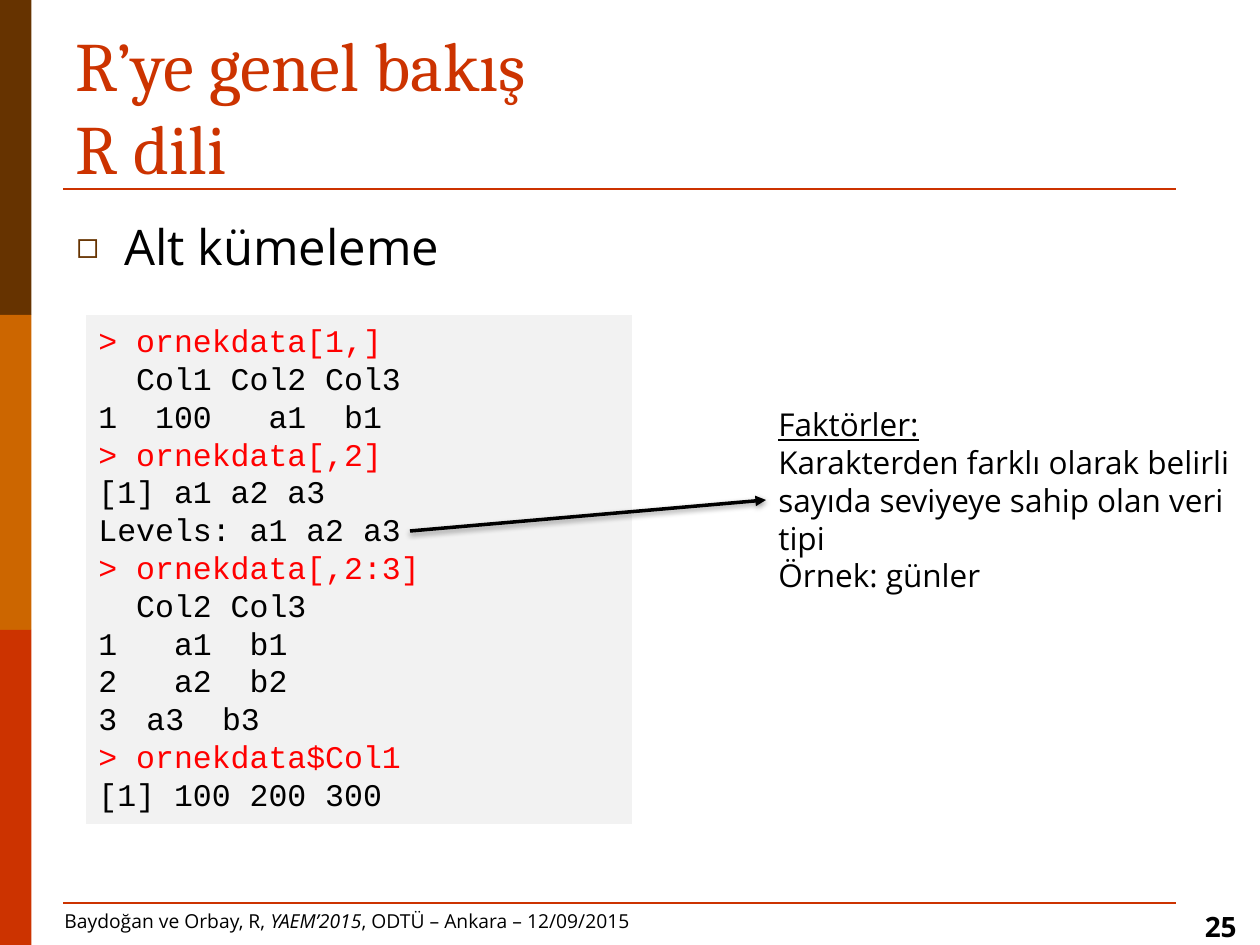
from lxml import etree
from pptx import Presentation
from pptx.dml.color import RGBColor
from pptx.enum.shapes import MSO_CONNECTOR as CONN, MSO_SHAPE as SHAPE
from pptx.enum.text import MSO_ANCHOR as ANCHOR, PP_ALIGN as ALIGN
from pptx.oxml.ns import qn
from pptx.util import Pt

PX = 914400 / 126
COLORS = {
    "brown": "663300", "orange": "CC6600", "rust": "CC3300",
    "black": "000000", "red": "FF0000", "gray": "F2F2F2",
}
SANS, SERIF, MONO = "Open Sans", "Cambria", "Courier New"
CODE = [
    "> ornekdata[1,]",
    "  Col1 Col2 Col3",
    "1  100   a1  b1 ",
    "> ornekdata[,2]",
    "[1] a1 a2 a3",
    "Levels: a1 a2 a3",
    "> ornekdata[,2:3]",
    "  Col2 Col3",
    "1   a1  b1 ",
    "2   a2  b2 ",
    "a3  b3",
    "> ornekdata$Col1",
    "[1] 100 200 300",
]
NUMBERED_ROW = 10


def px(n):
    return round(n * PX)


def rgb(name):
    return RGBColor.from_string(COLORS[name])


def sub(parent, tag, **attrs):
    return etree.SubElement(parent, qn(tag), attrs)


def style(p, size, font=SANS, color="black", bold=False):
    p.font.size, p.font.name, p.font.bold = Pt(size), font, bold
    p.font.color.rgb = rgb(color)


def hanging(p):
    pPr = p._p.get_or_add_pPr()
    pPr.set("marL", str(px(48)))
    pPr.set("indent", str(-px(48)))
    return pPr


def add_box(slide, x, y, w, h, fill):
    sp = slide.shapes.add_shape(SHAPE.RECTANGLE, px(x), px(y), px(w), px(h))
    sp.shadow.inherit = False
    sp.fill.solid()
    sp.fill.fore_color.rgb = rgb(fill)
    sp.line.fill.background()
    return sp


def add_text(slide, x, y, w, h, lines, size, font=SANS, color="black",
             bold=False, anchor=ANCHOR.TOP, align=ALIGN.LEFT):
    tf = slide.shapes.add_textbox(px(x), px(y), px(w), px(h)).text_frame
    tf.word_wrap = True
    tf.vertical_anchor = anchor
    tf.text = "\n".join(lines)
    for p in tf.paragraphs:
        p.alignment = align
        style(p, size, font, color, bold)
    return tf


def add_line(slide, x1, y1, x2, y2, color, width):
    line = slide.shapes.add_connector(CONN.STRAIGHT, px(x1), px(y1), px(x2), px(y2))
    line.line.color.rgb = rgb(color)
    line.line.width = Pt(width)
    return line, sub(line._element.spPr, "a:effectLst")


def add_arrow(slide, *ends):
    line, effects = add_line(slide, *ends, "black", 2)
    sub(line.line._get_or_add_ln(), "a:tailEnd", type="triangle")
    shadow = sub(effects, "a:outerShdw", blurRad=str(Pt(3.1)), dist=str(Pt(1.6)),
                 dir="5400000", rotWithShape="0")
    clr = sub(shadow, "a:srgbClr", val=COLORS["black"])
    sub(clr, "a:alpha", val="38000")


def add_bullet_text(slide):
    p = add_text(slide, 64, 210, 1134, 624, ["Alt kümeleme"], 28).paragraphs[0]
    p.space_before = Pt(5.6)
    pPr = hanging(p)
    bullet = [
        ("a:buClr", {}), ("a:buSzPct", {"val": "75000"}),
        ("a:buFont", {"typeface": SANS}), ("a:buChar", {"char": "◻"}),
    ]
    for i, (tag, attrs) in enumerate(bullet, start=1):
        el = etree.Element(qn(tag), attrs)
        pPr.insert(i, el)
        if tag == "a:buClr":
            sub(el, "a:srgbClr", val=COLORS["brown"])


def add_code(slide):
    tf = add_box(slide, 86, 315, 546, 509, "gray").text_frame
    tf.word_wrap = True
    tf.vertical_anchor = ANCHOR.TOP
    tf.text = "\n".join(CODE)
    for p in tf.paragraphs:
        p.alignment = ALIGN.LEFT
        style(p, 18, MONO, "red" if p.text.startswith(">") else "black")
    pPr = hanging(tf.paragraphs[NUMBERED_ROW])
    pPr.insert(0, etree.Element(qn("a:buAutoNum"), type="arabicPlain", startAt="3"))


def add_footer(slide):
    tf = add_text(slide, 52, 903, 1207, 37, [""], 11)
    p = tf.paragraphs[0]
    for text, italic in [("Baydoğan ve Orbay, R, ", False), ("YAEM’2015", True),
                         (", ODTÜ – Ankara – 12/09/2015", False)]:
        r = p.add_run()
        r.text = text
        r.font.italic = italic
    add_text(slide, 955, 903, 294, 53, ["25"], 16, bold=True, align=ALIGN.RIGHT)


def main():
    prs = Presentation()
    prs.slide_width, prs.slide_height = px(1260), px(945)
    slide = prs.slides.add_slide(prs.slide_layouts[6])
    for i, fill in enumerate(("brown", "orange", "rust")):
        add_box(slide, 0, 315 * i, 31.5, 315, fill)
    for y in (189, 903):
        add_line(slide, 63, y, 1176, y, "rust", 1.5)
    add_footer(slide)
    add_text(slide, 63, 38, 1134, 157, ["R’ye genel bakış\vR dili"], 39.6,
             SERIF, "rust", anchor=ANCHOR.BOTTOM)
    add_bullet_text(slide)
    add_code(slide)
    note = add_text(slide, 766, 399, 483, 204, [
        "Faktörler:",
        "Karakterden farklı olarak belirli sayıda seviyeye sahip olan veri tipi",
        "Örnek: günler",
    ], 18)
    note.paragraphs[0].font.underline = True
    add_arrow(slide, 410, 531, 766, 500)
    prs.save("out.pptx")


main()
